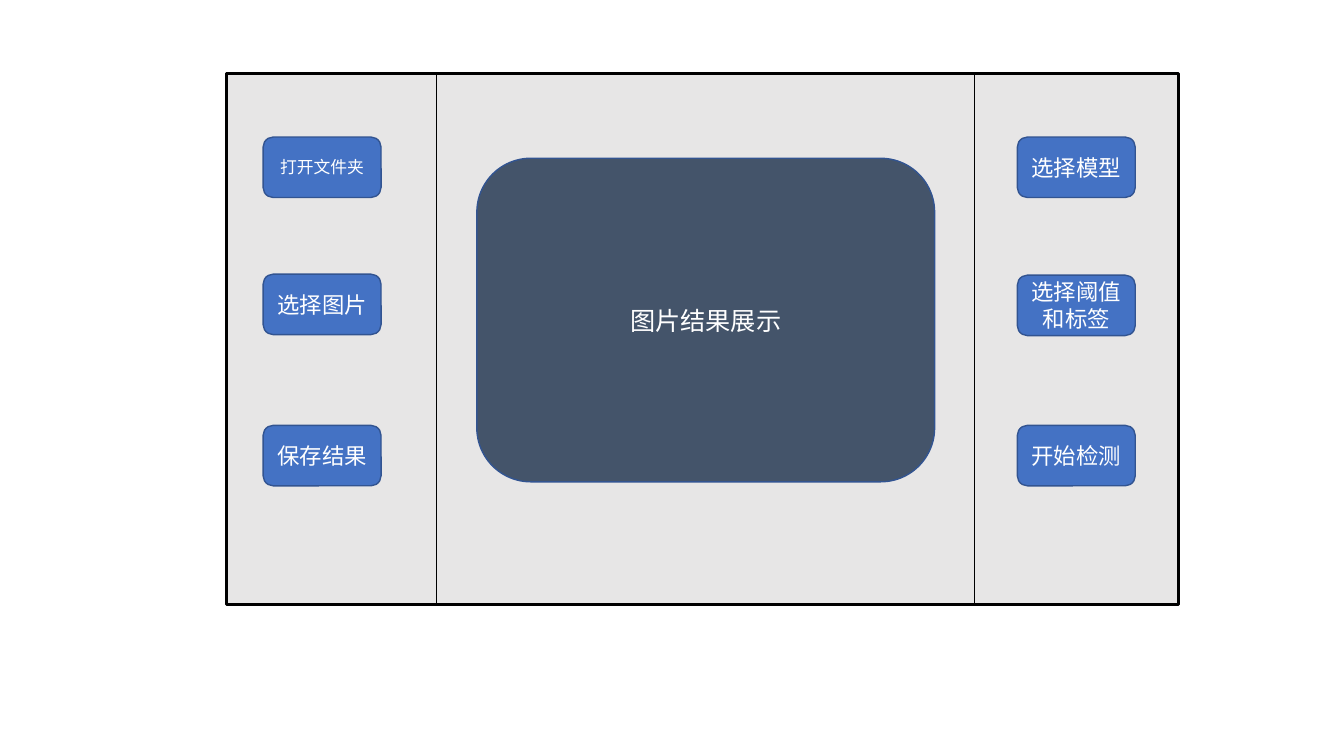
"""Builds a slide with the window layout of an image detection tool."""
from lxml.etree import SubElement
from pptx import Presentation
from pptx.dml.color import RGBColor
from pptx.enum.shapes import MSO_CONNECTOR, MSO_SHAPE
from pptx.enum.text import MSO_ANCHOR, PP_ALIGN
from pptx.oxml.ns import qn
from pptx.util import Inches, Pt

FONT = "Noto Sans CJK SC"
BLACK = RGBColor(0x00, 0x00, 0x00)
WHITE = RGBColor(0xFF, 0xFF, 0xFF)
PALE_GRAY = RGBColor(0xE7, 0xE6, 0xE6)
SLATE = RGBColor(0x44, 0x54, 0x6A)
BLUE = RGBColor(0x44, 0x72, 0xC4)
EDGE_BLUE = RGBColor(0x32, 0x54, 0x91)

prs = Presentation()
prs.slide_width = Inches(13.33)
prs.slide_height = Inches(7.5)
slide = prs.slides.add_slide(prs.slide_layouts[6])


def add_panel(preset, left, top, width, height, fill, edge, edge_width):
    panel = slide.shapes.add_shape(
        preset, Inches(left), Inches(top), Inches(width), Inches(height))
    panel.shadow.inherit = False
    panel.fill.solid()
    panel.fill.fore_color.rgb = fill
    panel.line.color.rgb = edge
    panel.line.width = Pt(edge_width)
    return panel


def add_label(panel, wording, size):
    frame = panel.text_frame
    frame.word_wrap = True
    frame.vertical_anchor = MSO_ANCHOR.MIDDLE
    paragraph = frame.paragraphs[0]
    paragraph.alignment = PP_ALIGN.CENTER
    run = paragraph.add_run()
    run.text = wording
    run.font.size = Pt(size)
    run.font.color.rgb = WHITE
    run.font.name = FONT
    SubElement(run.font._element, qn("a:ea"), typeface=FONT)


window_top, window_height = 0.73, 5.27
add_panel(MSO_SHAPE.RECTANGLE, 2.25, window_top, 9.44, window_height,
          PALE_GRAY, BLACK, 2.25)

for divider_x in (4.33, 9.66):
    divider = slide.shapes.add_connector(
        MSO_CONNECTOR.STRAIGHT, Inches(divider_x), Inches(window_top),
        Inches(divider_x), Inches(window_top + window_height))
    divider.line.color.rgb = BLACK
    divider.line.width = Pt(0.5)
    SubElement(divider._element.spPr, qn("a:effectLst"))

result_view = add_panel(MSO_SHAPE.ROUNDED_RECTANGLE, 4.73, 1.57, 4.54, 3.21,
                        SLATE, EDGE_BLUE, 1)
add_label(result_view, "图片结果展示", 18)

button_columns = [
    (2.61, [(1.36, "打开文件夹", 12), (2.72, "选择图片", 16), (4.22, "保存结果", 16)]),
    (10.09, [(1.36, "选择模型", 16), (2.73, "选择阈值和标签", 16), (4.22, "开始检测", 16)]),
]
for column_left, buttons in button_columns:
    for button_top, wording, size in buttons:
        button = add_panel(MSO_SHAPE.ROUNDED_RECTANGLE, column_left, button_top,
                           1.17, 0.6, BLUE, EDGE_BLUE, 1)
        add_label(button, wording, size)

prs.save("out.pptx")
